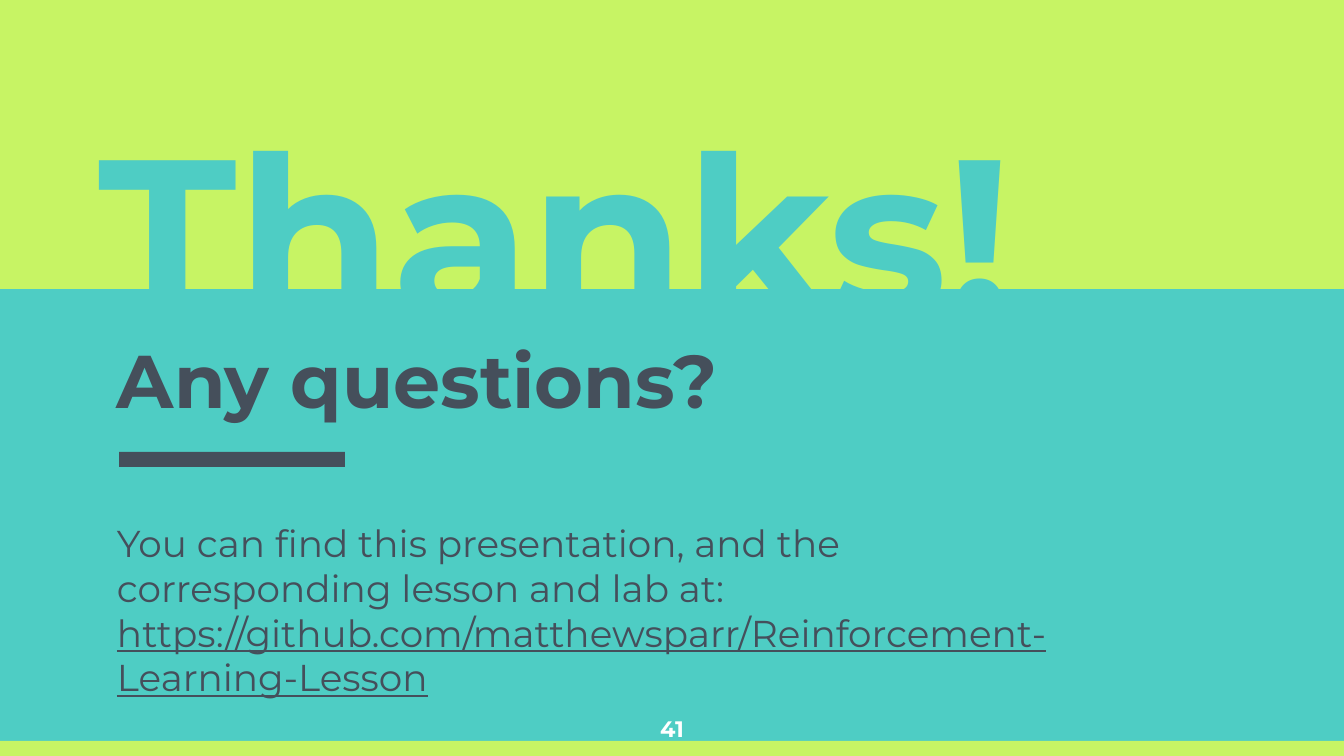
import pptx
import pptx.util
import pptx.dml.color
import pptx.enum.shapes
import pptx.enum.text

RGBColor = pptx.dml.color.RGBColor
ALIGN = pptx.enum.text.PP_ALIGN
ANCHOR = pptx.enum.text.MSO_ANCHOR
TEAL = RGBColor(0x4E, 0xCD, 0xC4)
LIME = RGBColor(0xC7, 0xF4, 0x64)
SLATE = RGBColor(0x45, 0x4F, 0x5B)
WHITE = RGBColor(0xFF, 0xFF, 0xFF)

PX = 914400 / 134.4
WIDTH, HEIGHT = 1344, 756
FOOTER, BAND, INSET = 15, 289, 13
FONT = "Montserrat"

BARS = [
    ((0, HEIGHT - FOOTER, WIDTH, FOOTER), LIME),
    ((0, 0, WIDTH, BAND), LIME),
    ((119, 452, 226, 15), SLATE),
]
TEXTS = [
    {"at": (86, 204, 992, 171), "anchor": ANCHOR.BOTTOM, "align": ALIGN.LEFT,
     "size": 120, "bold": True, "color": TEAL, "lines": [("Thanks!", False)]},
    {"at": (104, 321, 739, 93), "anchor": ANCHOR.TOP, "align": ALIGN.LEFT,
     "size": 40, "bold": True, "color": SLATE, "lines": [("Any questions?", False)]},
    {"at": (104, 507, 980, 208), "anchor": ANCHOR.TOP, "align": ALIGN.LEFT,
     "size": 20, "bold": False, "color": SLATE, "lines": [
         ("You can find this presentation, and the corresponding lesson and lab at:", False),
         ("https://github.com/matthewsparr/Reinforcement-Learning-Lesson", True)]},
    {"at": (632, 702, 80, 46), "anchor": ANCHOR.TOP, "align": ALIGN.CENTER,
     "size": 12, "bold": True, "color": WHITE, "lines": [("41", False)]},
]


def emu(*lengths):
    return [pptx.util.Emu(round(n * PX)) for n in lengths]


def add_bar(s, at, color):
    sp = s.shapes.add_shape(pptx.enum.shapes.MSO_SHAPE.RECTANGLE, *emu(*at))
    sp.shadow.inherit = False
    sp.fill.solid()
    sp.fill.fore_color.rgb = color
    sp.line.fill.background()


def add_text(s, item):
    tf = s.shapes.add_textbox(*emu(*item["at"])).text_frame
    inset = emu(INSET)[0]
    frame = {"word_wrap": True, "vertical_anchor": item["anchor"]}
    frame.update({f"margin_{side}": inset for side in ("left", "top", "right", "bottom")})
    for name, value in frame.items():
        setattr(tf, name, value)
    for i, (text, underline) in enumerate(item["lines"]):
        p = tf.add_paragraph() if i else tf.paragraphs[0]
        p.alignment = item["align"]
        r = p.add_run()
        r.text = text
        style = {"name": FONT, "size": pptx.util.Pt(item["size"]),
                 "bold": item["bold"], "underline": underline}
        for name, value in style.items():
            setattr(r.font, name, value)
        r.font.color.rgb = item["color"]


prs = pptx.Presentation()
prs.slide_width, prs.slide_height = emu(WIDTH, HEIGHT)
s = prs.slides.add_slide(prs.slide_layouts[6])
s.background.fill.solid()
s.background.fill.fore_color.rgb = TEAL
for at, color in BARS:
    add_bar(s, at, color)
for item in TEXTS:
    add_text(s, item)
prs.save("out.pptx")
